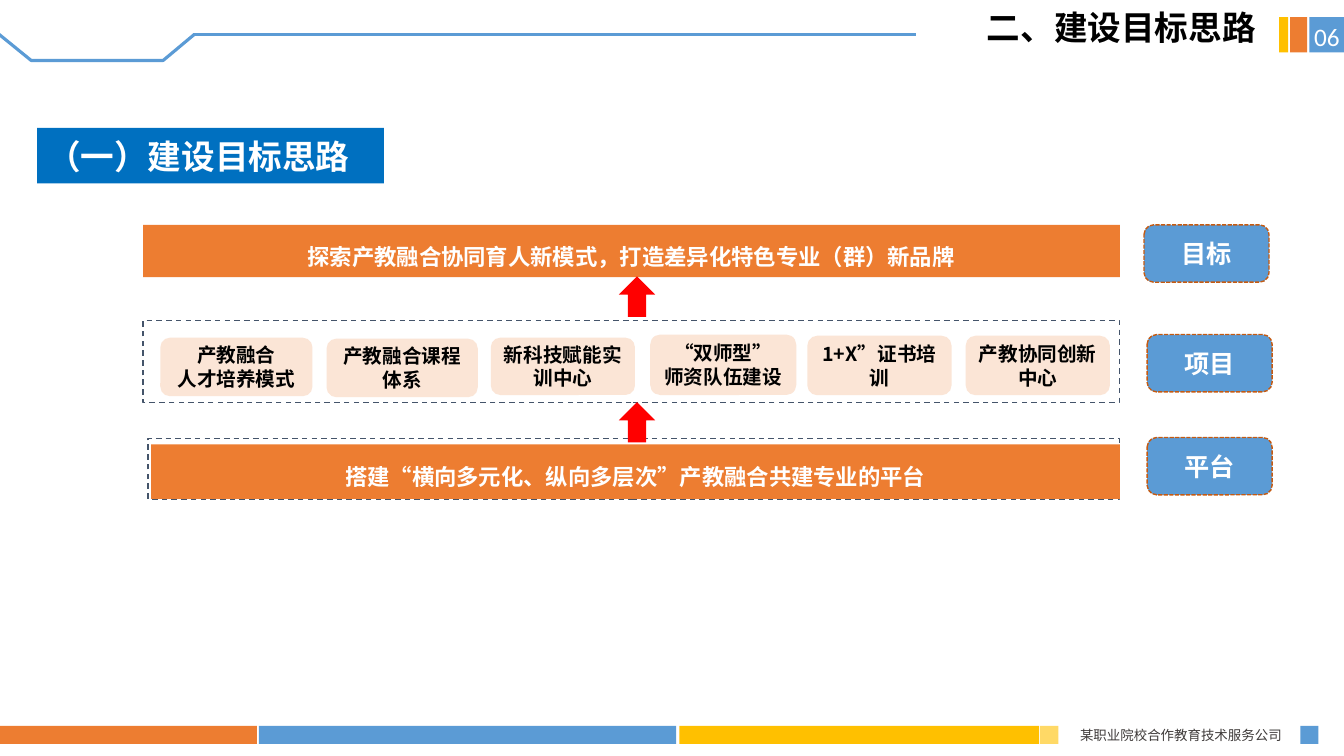
from pptx import Presentation
from pptx.dml.color import RGBColor
from pptx.enum.dml import MSO_LINE_DASH_STYLE as Dash
from pptx.enum.shapes import MSO_CONNECTOR, MSO_SHAPE as Shape
from pptx.enum.text import MSO_ANCHOR as Anchor, MSO_AUTO_SIZE as AutoSize, PP_ALIGN as Align
from pptx.oxml.ns import qn
from pptx.util import Pt
from lxml.etree import SubElement

COLORS = {
    "orange": "ED7D31", "blue": "5B9BD5", "yellow": "FFC000", "pale_yellow": "FFD966",
    "deep_blue": "0070C0", "peach": "FBE5D6", "red": "FF0000", "slate": "44546A",
    "rust": "C55A11", "grey": "3E3A39", "white": "FFFFFF", "black": "000000",
}
CJK_FONT = "Noto Sans CJK SC"


def color(name):
    """Return the named colour."""
    return RGBColor.from_string(COLORS[name])


def write(shape, text, size, ink, font=CJK_FONT, bold=True, align=Align.CENTER,
          anchor=Anchor.MIDDLE, spacing=None):
    """Fill a shape with text in one style."""
    frame = shape.text_frame
    frame.text = text
    frame.word_wrap = True
    frame.vertical_anchor = anchor
    for paragraph in frame.paragraphs:
        paragraph.alignment = align
        paragraph.line_spacing = spacing
        for run in paragraph.runs:
            run.font.size = Pt(size)
            run.font.bold = bold
            run.font.name = font
            run.font.color.rgb = color(ink)
            east_asian = SubElement(run.font._element, qn("a:ea"))
            east_asian.set("typeface", CJK_FONT)


def add_block(slide, box, fill=None, kind=Shape.RECTANGLE, line=None, dash=None):
    """Add a flat preset shape with an optional fill and dashed outline."""
    shape = slide.shapes.add_shape(kind, *map(Pt, box))
    shape.shadow.inherit = False
    if fill:
        shape.fill.solid()
        shape.fill.fore_color.rgb = color(fill)
    else:
        shape.fill.background()
    if line:
        shape.line.color.rgb = color(line)
        shape.line.width = Pt(1)
        shape.line.dash_style = dash
    else:
        shape.line.fill.background()
    return shape


def add_footer(slide, box):
    """Draw the colour strip and company name along the bottom."""
    left, top, width, height = box
    segments = [(0, 183.6, "orange"), (185, 298, "blue"), (485.3, 257, "yellow"),
                (743, 13, "pale_yellow"), (928.8, 13, "blue")]
    for offset, segment_width, fill in segments:
        add_block(slide, (left + offset, top, segment_width, height), fill)
    company = slide.shapes.add_textbox(Pt(left + 749.5), Pt(top - 2.9), Pt(188), Pt(18.7))
    write(company, "某职业院校合作教育技术服务公司", 9.6, "grey", "Arial", False, anchor=Anchor.TOP)


def add_header(slide, box):
    """Draw the header line, page number and title."""
    left, top, width, height = box
    line_top, notch_bottom = top + 24.5, top + 43.2
    points = [(139, line_top), (116.6, notch_bottom), (22.3, notch_bottom), (-0.7, line_top)]
    corners = [(Pt(left + x), Pt(y)) for x, y in points]
    builder = slide.shapes.build_freeform(*corners[0])
    builder.add_line_segments(corners[1:], close=False)
    notch = builder.convert_to_shape()
    notch.shadow.inherit = False
    notch.fill.background()
    rule = slide.shapes.add_connector(MSO_CONNECTOR.STRAIGHT, Pt(left + 138.2), Pt(line_top),
                                      Pt(left + 654.5), Pt(line_top))
    SubElement(rule._element.spPr, qn("a:effectLst"))
    for stroke in (notch, rule):
        stroke.line.color.rgb = color("blue")
        stroke.line.width = Pt(2.25)

    right = left + width
    for inset, tab_width, fill in [(24.7, 24.7, "blue"), (38.4, 12.2, "orange"), (46.3, 6.5, "yellow")]:
        add_block(slide, (right - inset, top + 12.2, tab_width, 25.2), fill)
    number = slide.shapes.add_textbox(Pt(right - 31.2), Pt(top + 11.5), Pt(38.2), Pt(13.7))
    write(number, "06", 18, "white", "Calibri", False, anchor=Anchor.TOP)

    title = slide.shapes.title
    title.left, title.top, title.width, title.height = Pt(right - 263.8), Pt(top + 5), Pt(208), Pt(33)
    write(title, "二、建设目标思路", 24, "black", align=Align.RIGHT, spacing=0.9)
    title.text_frame.word_wrap = False
    title.text_frame.auto_size = AutoSize.NONE


def add_section_heading(slide, box):
    """Draw the section heading banner."""
    heading = add_block(slide, box, "deep_blue")
    write(heading, "（一）建设目标思路", 24, "white", align=Align.LEFT)
    heading.text_frame.paragraphs[0].space_after = Pt(6)


def add_banner(slide, box, text):
    """Draw a wide orange statement bar."""
    write(add_block(slide, box, "orange"), text, 16, "white", spacing=Pt(26.4))


def add_projects(slide, box):
    """Draw the dashed frame with its project cards."""
    left, top, width, height = box
    add_block(slide, box, line="slate", dash=Dash.DASH)
    cards = [
        (12.3, 12.2, 108.7, 41.8, "产教融合\n人才培养模式"),
        (131.1, 12.9, 108, 41.8, "产教融合课程体系"),
        (248.4, 12.2, 103, 41, "新科技赋能实训中心"),
        (362.2, 10, 104.4, 43.2, "“双师型” 师资队伍建设"),
        (474.5, 10.8, 103, 42.5, "1+X”证书培训"),
        (587.6, 10.8, 103, 42.5, "产教协同创新中心"),
    ]
    for x, y, card_width, card_height, text in cards:
        card = add_block(slide, (left + x, top + y, card_width, card_height), "peach",
                         Shape.ROUNDED_RECTANGLE)
        write(card, text, 14, "black")


def add_diagram(slide, box):
    """Draw the three levels, their labels and the arrows between them."""
    left, top, width, height = box
    add_banner(slide, (left, top, width, 37.4), "探索产教融合协同育人新模式，打造差异化特色专业（群）新品牌")
    add_block(slide, (left + 3.6, top + 152.6, width - 3.6, 43.2), line="slate", dash=Dash.DASH)
    add_projects(slide, (left, top + 68.4, width, 58.3))
    add_banner(slide, (left + 5.8, top + 156.9, width - 5.8, 38.9),
               "搭建“横向多元化、纵向多层次”产教融合共建专业的平台")
    for offset in (36.9, 126.7):
        add_block(slide, (left + 339.8, top + offset, 26, 28.8), "red", Shape.UP_ARROW)
    for x, y, text in [(17.3, 0, "目标"), (19.5, 78.4, "项目"), (19.5, 151.9, "平台")]:
        label = add_block(slide, (left + width + x, top + y, 89.3, 41), "blue",
                          Shape.ROUNDED_RECTANGLE, "rust", Dash.SQUARE_DOT)
        write(label, text, 18, "white")


def main():
    """Build and save the slide."""
    presentation = Presentation()
    presentation.slide_width, presentation.slide_height = Pt(960), Pt(540)
    slide = presentation.slides.add_slide(presentation.slide_layouts[5])
    add_footer(slide, (0, 518.4, 960, 13))
    add_header(slide, (0, 0, 960, 43.2))
    add_section_heading(slide, (26.6, 91.4, 247.7, 39.6))
    add_diagram(slide, (102.2, 160.6, 697.7, 195.8))
    presentation.save("out.pptx")


if __name__ == "__main__":
    main()
